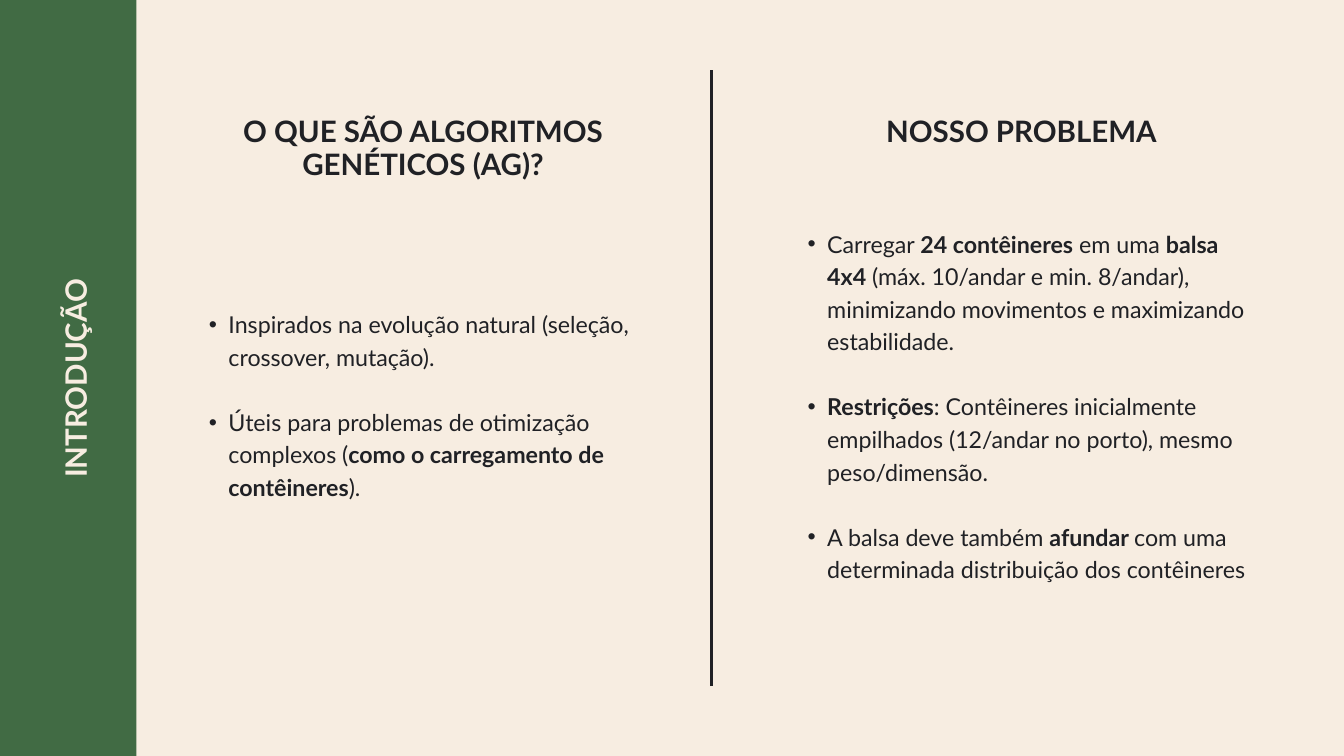
from lxml.etree import SubElement
from pptx import Presentation
from pptx.dml.color import RGBColor
from pptx.enum.shapes import MSO_CONNECTOR as CONN, MSO_SHAPE as SHAPE
from pptx.enum.text import MSO_ANCHOR as ANCHOR, MSO_AUTO_SIZE as AUTO, PP_ALIGN as ALIGN
from pptx.oxml.ns import qn
from pptx.util import Inches, Pt

CREAM, GREEN, INK = "F7EDE1", "416B44", "202125"

prs = Presentation()
prs.slide_width, prs.slide_height = Inches(20), Inches(11.25)
U = prs.slide_width // 20  # one grid column, also one grid row
H = prs.slide_height


def paint(fmt, color):
    if hasattr(fmt, "solid"):
        fmt.solid()
        fmt = fmt.fore_color
    fmt.rgb = RGBColor.from_string(color)


def write(sp, box, paras, size=31.6, color=INK, bold=False, leading=35.7, bullet=None):
    """Place a placeholder on the grid and fill it; every second run of a paragraph switches bold."""
    sp.left, sp.top, sp.width, sp.height = (int(n * U) for n in box)
    tf = sp.text_frame
    tf.word_wrap, tf.auto_size, tf.vertical_anchor = True, AUTO.NONE, ANCHOR.TOP
    tf.margin_left = tf.margin_top = tf.margin_right = tf.margin_bottom = 0
    for i, runs in enumerate(paras):
        p = tf.add_paragraph() if i else tf.paragraphs[0]
        p.alignment = ALIGN.LEFT if bullet else ALIGN.CENTER
        p.line_spacing = Pt(leading)
        p.space_before = Pt(leading if i else 0)  # one empty line between items
        if bullet:
            pPr = p._p.get_or_add_pPr()
            pPr.set("marL", str(Inches(0.59)))
            pPr.set("indent", str(Inches(-0.29)))
            SubElement(pPr, qn("a:buFont"), typeface="Arial")
            SubElement(pPr, qn("a:buChar"), char=bullet)
        for j, text in enumerate(runs):
            r = p.add_run()
            r.text = text
            r.font.name, r.font.size = "Lato", Pt(size)
            r.font.bold = bold != (j % 2 == 1)
            paint(r.font.color, color)


s = prs.slides.add_slide(prs.slide_layouts[4])  # Comparison: title, two headings, two lists
paint(s.background.fill, CREAM)

# Side bar with the section title, read upwards
bar = s.shapes.add_shape(SHAPE.RECTANGLE, 0, 0, int(2.03 * U), H)
bar.shadow.inherit = False
paint(bar.fill, GREEN)
bar.line.fill.background()
tree = bar._element.getparent()
tree.remove(bar._element)
tree.insert(2, bar._element)  # behind the title

title = s.shapes.title
write(title, (-1.9, 5.38, 6.07, 0.5), [["INTRODUÇÃO"]], color=CREAM, bold=True)
title.rotation = 270

# Divider between the two columns
x = int(10.59 * U)
divider = s.shapes.add_connector(CONN.STRAIGHT, x, int(10.21 * U), x, int(1.04 * U))
divider.line.width = Pt(3)
paint(divider.line.fill, INK)
SubElement(divider._element.spPr, qn("a:effectLst"))

columns = [
    ("O QUE SÃO ALGORITMOS GENÉTICOS (AG)?", (3.26, 1.71, 6.07, 0.99), (2.81, 4.55, 6.97, 2.86), [
        ["Inspirados na evolução natural (seleção, crossover, mutação)."],
        ["Úteis para problemas de otimização complexos (",
         "como o carregamento de contêineres", ")."],
    ]),
    ("NOSSO PROBLEMA", (11.67, 1.71, 7.06, 0.5), (11.72, 3.35, 6.97, 5.3), [
        ["Carregar ", "24 contêineres", " em uma ", "balsa 4x4",
         " (máx. 10/andar e min. 8/andar), minimizando movimentos e maximizando estabilidade."],
        ["", "Restrições",
         ": Contêineres inicialmente empilhados (12/andar no porto), mesmo peso/dimensão."],
        ["A balsa deve também ", "afundar ",
         "com uma determinada distribuição dos contêineres"],
    ]),
]
ph = {p.placeholder_format.idx: p for p in s.placeholders}
for i, (heading, head_box, list_box, items) in enumerate(columns):
    write(ph[2 * i + 1], head_box, [[heading]], bold=True)
    write(ph[2 * i + 2], list_box, items, size=24.9, leading=34.9, bullet="•")

prs.save("out.pptx")
